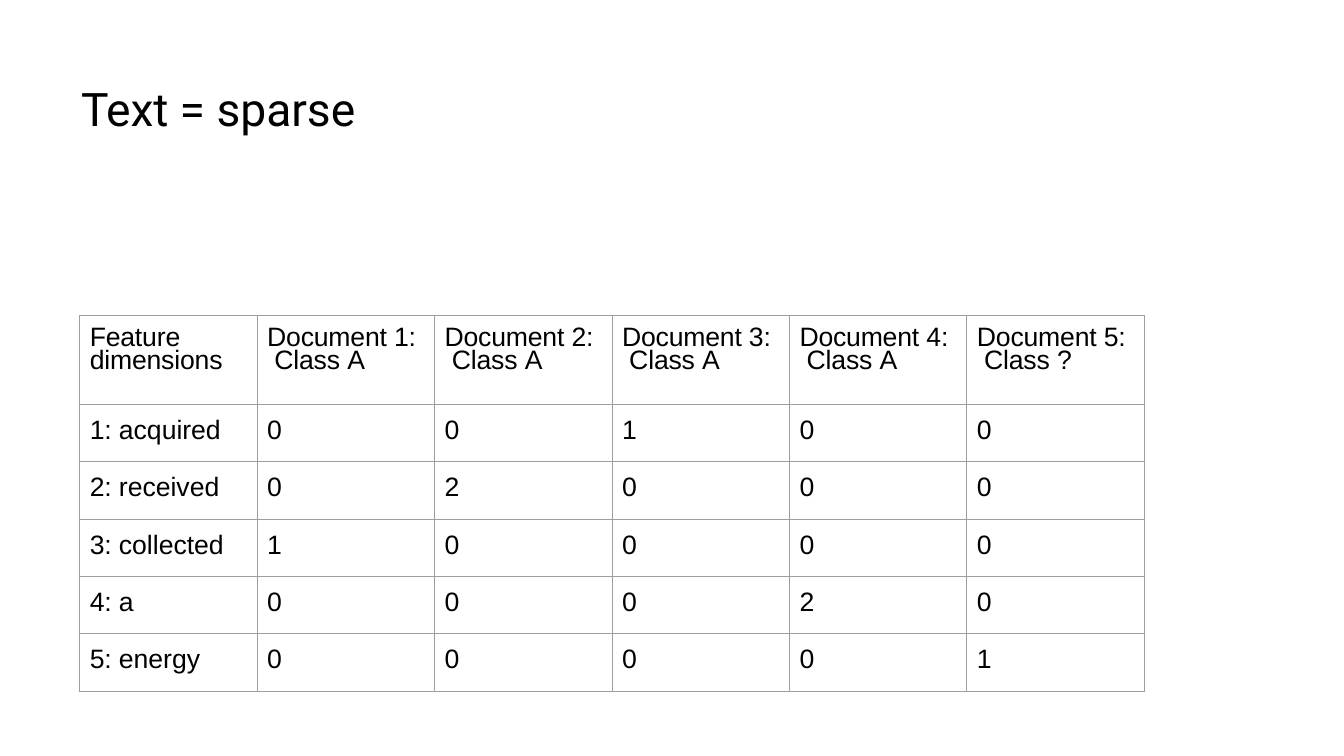
import pptx
import pptx.dml.color
import pptx.enum.text
import pptx.oxml.ns
import pptx.util
from lxml import etree

Inches = pptx.util.Inches
Pt = pptx.util.Pt

# Content
TITLE = [("Text ", -0.1), ("= sparse", 0)]
FEATURE_HEADING = "Feature dimensions"
DOCUMENT_CLASSES = ["A", "A", "A", "A", "?"]
FEATURES = [
    ("acquired", [0, 0, 1, 0, 0]),
    ("received", [0, 2, 0, 0, 0]),
    ("collected", [1, 0, 0, 0, 0]),
    ("a", [0, 0, 0, 2, 0]),
    ("energy", [0, 0, 0, 0, 1]),
]

# Layout
TABLE_LEFT, TABLE_TOP = 0.79, 3.13
COLUMN_WIDTH, HEADER_HEIGHT, ROW_HEIGHT = 1.76, 0.88, 0.57
TEXT_COLOR, BORDER_COLOR = "000000", "9E9E9E"


def color(value):
    return pptx.dml.color.RGBColor.from_string(value)


def add_run(paragraph, text, font_name, size, spacing=0):
    run = paragraph.add_run()
    run.text = text
    run.font.name = font_name
    run.font.size = Pt(size)
    run.font.color.rgb = color(TEXT_COLOR)
    run.font._element.set("spc", str(round(spacing * 100)))


def indent(paragraph, inches):
    properties = paragraph._p.get_or_add_pPr()
    properties.set("marL", str(Inches(inches)))
    properties.set("indent", "0")


def add_child(parent, tag, **attributes):
    return etree.SubElement(parent, pptx.oxml.ns.qn(tag), **attributes)


def format_cell(cell, top_margin, space_before):
    """Outline the cell, clear its fill and return its paragraph."""
    properties = cell._tc.get_or_add_tcPr()
    for side in ("a:lnL", "a:lnR", "a:lnT", "a:lnB"):
        line = add_child(properties, side, w=str(Pt(0.75)))
        add_child(add_child(line, "a:solidFill"), "a:srgbClr", val=BORDER_COLOR)
    cell.fill.background()
    cell.margin_left = cell.margin_right = cell.margin_bottom = 0
    cell.margin_top = Inches(top_margin)
    paragraph = cell.text_frame.paragraphs[0]
    paragraph.space_before = Pt(space_before)
    indent(paragraph, 0.1)
    return paragraph


presentation = pptx.Presentation()
presentation.slide_width = Inches(13.33)
presentation.slide_height = Inches(7.5)
slide = presentation.slides.add_slide(presentation.slide_layouts[5])

# Title
title = slide.shapes.title
title.left, title.top = Inches(0.56), Inches(0.78)
title.width, title.height = Inches(3.19), Inches(0.57)
frame = title.text_frame
frame.word_wrap = True
frame.auto_size = pptx.enum.text.MSO_AUTO_SIZE.SHAPE_TO_FIT_TEXT
frame.vertical_anchor = pptx.enum.text.MSO_ANCHOR.MIDDLE
frame.margin_left = frame.margin_right = frame.margin_bottom = 0
frame.margin_top = Inches(0.02)
paragraph = frame.paragraphs[0]
paragraph.alignment = pptx.enum.text.PP_ALIGN.CENTER
paragraph.space_before = Pt(1.3)
indent(paragraph, 0.02)
for text, spacing in TITLE:
    add_run(paragraph, text, "Roboto", 33, spacing)

# Table grid
row_count, column_count = len(FEATURES) + 1, len(DOCUMENT_CLASSES) + 1
table = slide.shapes.add_table(
    row_count, column_count, Inches(TABLE_LEFT), Inches(TABLE_TOP),
    Inches(COLUMN_WIDTH * column_count),
    Inches(HEADER_HEIGHT + ROW_HEIGHT * len(FEATURES)),
).table
table.first_row = table.horz_banding = False
for column in table.columns:
    column.width = Inches(COLUMN_WIDTH)
for index, row in enumerate(table.rows):
    row.height = Inches(ROW_HEIGHT if index else HEADER_HEIGHT)

# Header row
for column in range(column_count):
    paragraph = format_cell(table.cell(0, column), 0.13, 7)
    paragraph.line_spacing = Pt(16.5)
    if column == 0:
        add_run(paragraph, FEATURE_HEADING, "Arial", 19, -0.1)
    else:
        add_run(paragraph, f"Document {column}:", "Arial", 19, -0.1)
        paragraph.add_line_break()
        add_run(paragraph, " Class ", "Arial", 19, -0.1)
        add_run(paragraph, DOCUMENT_CLASSES[column - 1], "Arial", 19)

# Feature rows
for row, (feature, counts) in enumerate(FEATURES, start=1):
    paragraph = format_cell(table.cell(row, 0), 0.11, 6.2)
    add_run(paragraph, f"{row}: ", "Arial", 19, -0.1)
    add_run(paragraph, feature, "Arial", 19)
    for column, count in enumerate(counts, start=1):
        paragraph = format_cell(table.cell(row, column), 0.11, 6.2)
        add_run(paragraph, str(count), "Arial", 19)

presentation.save("out.pptx")
